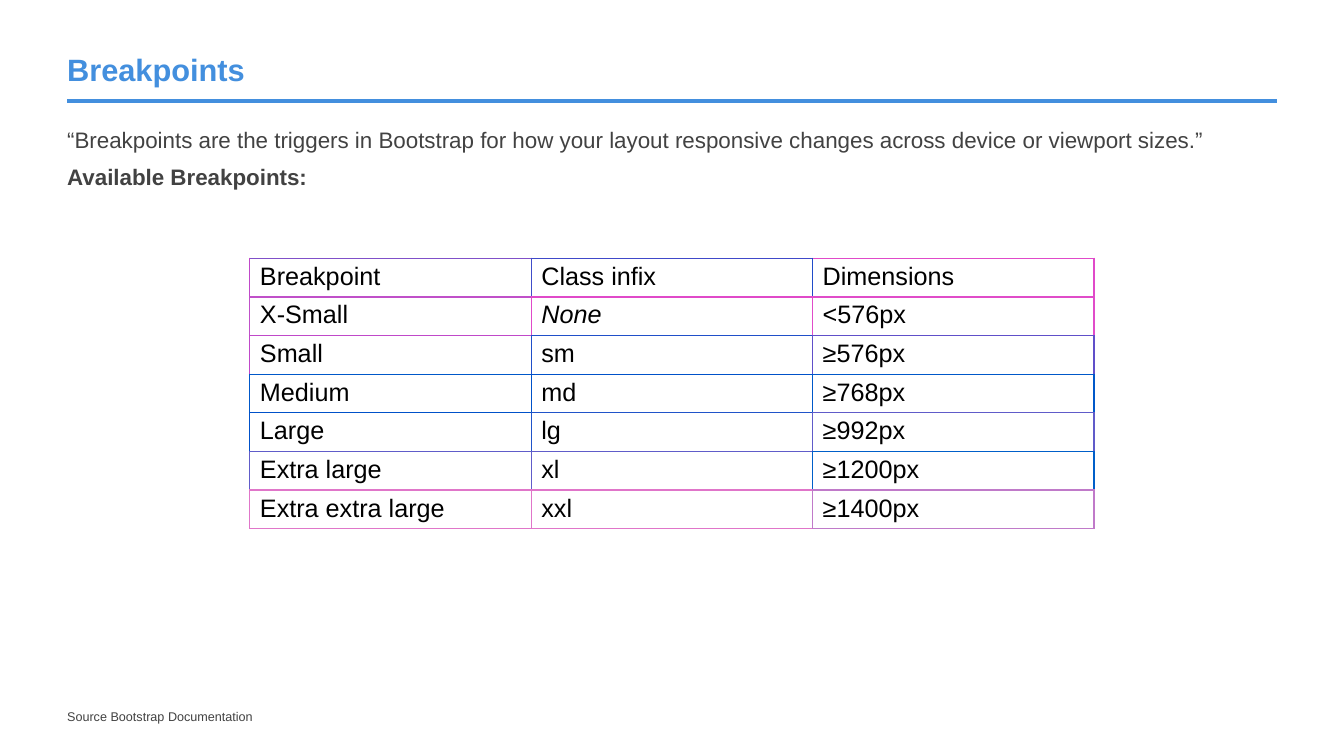
from dataclasses import dataclass

from lxml import etree
from pptx import Presentation
from pptx import util as u
from pptx.dml.color import RGBColor
from pptx.enum import shapes, text
from pptx.oxml import ns

SCALE = 9525


def px(length):
    return u.Emu(length * SCALE)


@dataclass
class Theme:
    font: str = "Arial"
    accent: str = "438FDE"
    body: str = "424242"
    table: str = "000000"
    cell: str = "FFFFFF"
    title_size: int = 22
    body_size: int = 16
    table_size: int = 18
    source_size: int = 9


class SlideBuilder:
    def __init__(self, page, theme):
        self.page = page
        self.theme = theme

    def format_runs(self, para, size, color, bold=False, italic=False):
        for span in para.runs:
            span.font.name = self.theme.font
            span.font.size = u.Pt(size)
            span.font.color.rgb = RGBColor.from_string(color)
            span.font.bold = bold
            span.font.italic = italic

    def title(self, words, left, top, width, height):
        box = self.page.shapes.title
        box.left, box.top, box.width, box.height = map(px, (left, top, width, height))
        frame = box.text_frame
        frame.text = words
        frame.auto_size = text.MSO_AUTO_SIZE.NONE
        frame.vertical_anchor = text.MSO_ANCHOR.BOTTOM
        frame.margin_left = 0
        para = frame.paragraphs[0]
        para.alignment = text.PP_ALIGN.LEFT
        self.format_runs(para, self.theme.title_size, self.theme.accent, bold=True)

    def rule(self, left, right, y, weight):
        line = self.page.shapes.add_connector(
            shapes.MSO_CONNECTOR.STRAIGHT, px(left), px(y), px(right), px(y))
        line.line.color.rgb = RGBColor.from_string(self.theme.accent)
        line.line.width = u.Pt(weight)
        etree.SubElement(line._element.spPr, ns.qn("a:effectLst"))

    def text_box(self, lines, left, top, width, height, size,
                 anchor=text.MSO_ANCHOR.TOP, spacing=None, before=0):
        box = self.page.shapes.add_textbox(*map(px, (left, top, width, height)))
        frame = box.text_frame
        frame.word_wrap = True
        frame.vertical_anchor = anchor
        frame.margin_left = frame.margin_right = 0
        frame.margin_top = frame.margin_bottom = 0
        frame.text = "\n".join(words for words, bold in lines)
        for para, (words, bold) in zip(frame.paragraphs, lines):
            para.space_before = u.Pt(before)
            para.space_after = u.Pt(4)
            if spacing:
                para.line_spacing = u.Pt(spacing)
            self.format_runs(para, size, self.theme.body, bold)

    def border(self, cell, side, color, weight):
        line = etree.SubElement(cell._tc.get_or_add_tcPr(), ns.qn(f"a:ln{side}"),
                                w=str(u.Pt(weight)))
        fill = etree.SubElement(line, ns.qn("a:solidFill"))
        etree.SubElement(fill, ns.qn("a:srgbClr"), val=color)

    def table(self, rows, lines, top_lines, corner, left, top, width, height):
        count, columns = len(rows), len(rows[0])
        grid = self.page.shapes.add_table(
            count, columns, *map(px, (left, top, width, height))).table
        grid.first_row = grid.horz_banding = False
        for row, words in enumerate(rows):
            grid.rows[row].height = px(height) // count
            for column, word in enumerate(words):
                cell = grid.cell(row, column)
                own = lines[row][column]
                edge = own if row else corner
                last = row == count - 1
                self.border(cell, "L", own, 1)
                self.border(cell, "R", lines[row][column + 1] if column < columns - 1 else edge, 1)
                self.border(cell, "T", own if row else top_lines[column], 1)
                self.border(cell, "B", own if last else lines[row + 1][column], 0.75 if last else 1)
                cell.fill.solid()
                cell.fill.fore_color.rgb = RGBColor.from_string(self.theme.cell)
                cell.margin_top = cell.margin_bottom = px(4)
                cell.text = word
                self.format_runs(cell.text_frame.paragraphs[0], self.theme.table_size,
                                 self.theme.table, italic=word == "None")


BREAKPOINTS = [
    ("Breakpoint", "Class infix", "Dimensions"),
    ("X-Small", "None", "<576px"),
    ("Small", "sm", "≥576px"),
    ("Medium", "md", "≥768px"),
    ("Large", "lg", "≥992px"),
    ("Extra large", "xl", "≥1200px"),
    ("Extra extra large", "xxl", "≥1400px"),
]
CELL_LINES = [
    ("C049C9", "404DC9", "204CC9"),
    ("C050C9", "E04AC9", "E04CC9"),
    ("C049C9", "204FC9", "604FC9"),
    ("0058C9", "0051C9", "0058C9"),
    ("0051C9", "2054C9", "605BC9"),
    ("605CC9", "605CC9", "005FC9"),
    ("E076C9", "E075C9", "C07AC9"),
]
TOP_LINES = ("8050C9", "4049C9", "E04AC9")
INTRO = [
    ("“Breakpoints are the triggers in Bootstrap for how your layout responsive "
     "changes across device or viewport sizes.”", False),
    ("Available Breakpoints:", True),
]


def main():
    deck = Presentation()
    deck.slide_width, deck.slide_height = px(1280), px(720)
    theme = Theme()
    builder = SlideBuilder(deck.slides.add_slide(deck.slide_layouts[5]), theme)
    builder.rule(64, 1216, 96, 3)
    builder.title("Breakpoints", 64, 26, 1152, 62)
    builder.text_box([("Source Bootstrap Documentation", False)], 64, 642, 864, 48,
                     theme.source_size, anchor=text.MSO_ANCHOR.BOTTOM)
    builder.text_box(INTRO, 64, 120, 1152, 480, theme.body_size, spacing=19.2, before=3.2)
    builder.table(BREAKPOINTS, CELL_LINES, TOP_LINES, "E04AC9", 238, 246, 804, 256)
    deck.save("out.pptx")


if __name__ == "__main__":
    main()
